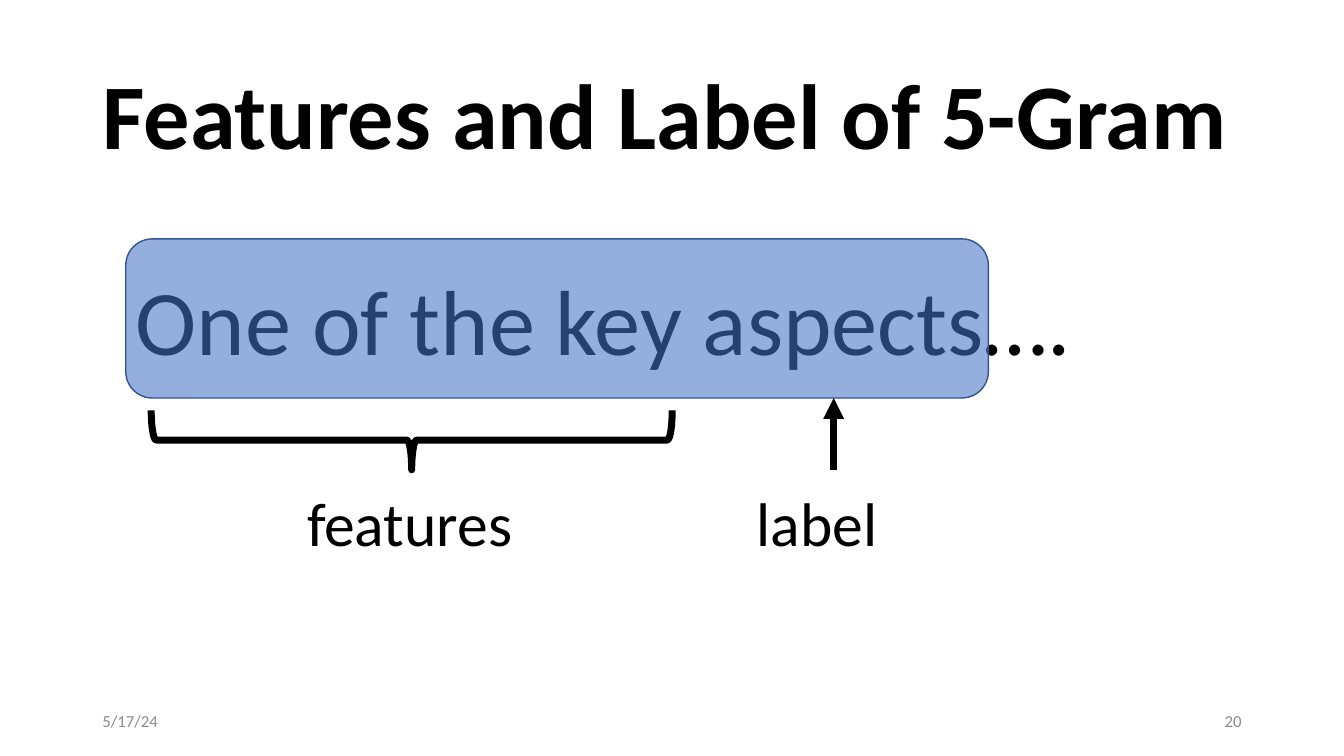
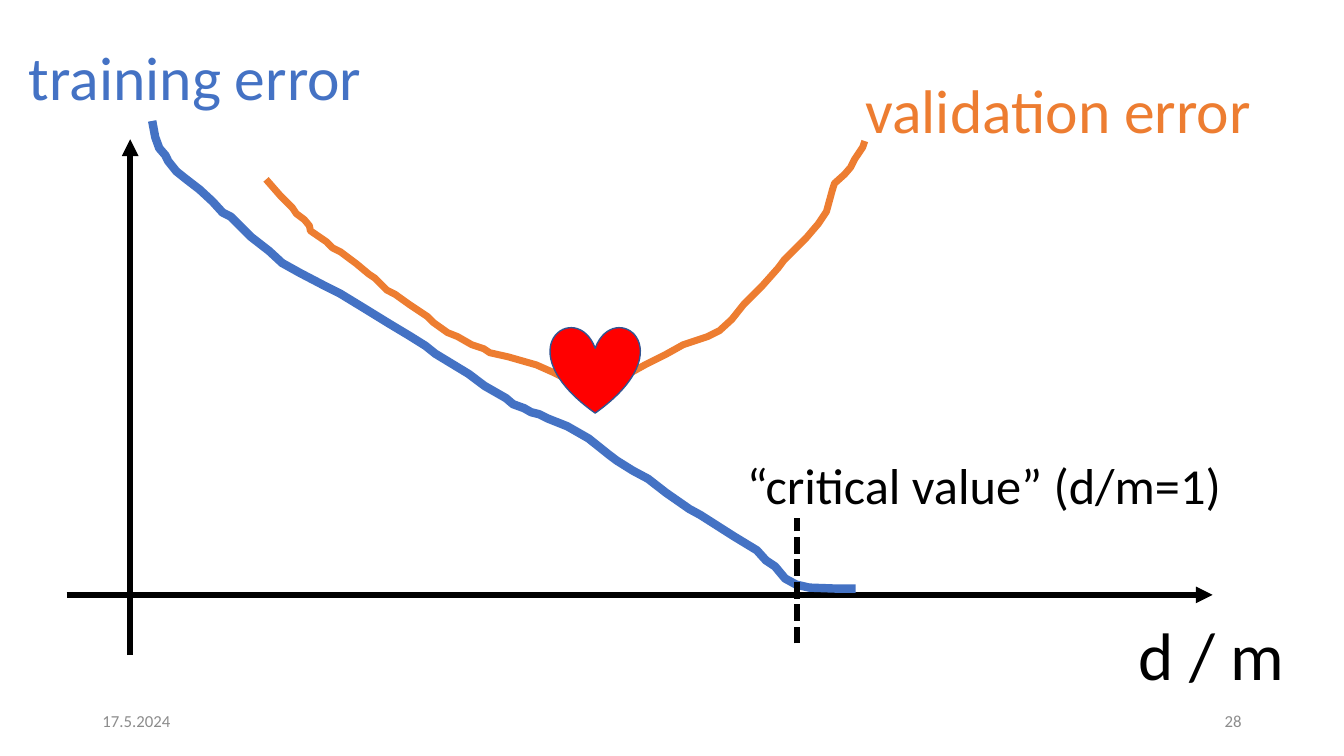
from lxml import etree
from pptx import Presentation
from pptx.dml.color import RGBColor
from pptx.enum.dml import MSO_LINE
from pptx.enum.shapes import MSO_CONNECTOR, MSO_SHAPE
from pptx.enum.text import MSO_ANCHOR, MSO_AUTO_SIZE, PP_ALIGN
from pptx.oxml.ns import qn
from pptx.util import Cm, Pt

LEFT, RIGHT = PP_ALIGN.LEFT, PP_ALIGN.RIGHT
TOP, MIDDLE = MSO_ANCHOR.TOP, MSO_ANCHOR.MIDDLE
NO_FIT = MSO_AUTO_SIZE.NONE
LINE = MSO_CONNECTOR.STRAIGHT
DASH = MSO_LINE.SQUARE_DOT
ROUND, BRACE, HEART = (
    MSO_SHAPE.ROUNDED_RECTANGLE, MSO_SHAPE.RIGHT_BRACE, MSO_SHAPE.HEART)
COLORS = {
    "ink": "000000", "gray": "8C8C8C", "blue": "4472C4",
    "navy": "325491", "orange": "ED7D31", "red": "FF0000",
}
FACE = "Calibri"
UNIT = Cm(2.54) // 100

TRAIN = [
    (151, 120), (154, 136), (158, 147), (164, 154), (167, 160), (175, 170),
    (185, 178), (198, 188), (211, 200), (221, 211), (229, 215), (249, 235),
    (267, 249), (280, 261), (298, 271), (321, 283), (337, 291), (360, 305),
    (386, 321), (406, 333), (422, 343), (432, 351), (465, 371), (481, 383),
    (502, 395), (509, 401), (520, 405), (527, 409), (535, 411), (543, 415),
    (563, 423), (584, 435), (604, 451), (612, 457), (628, 467), (643, 475),
    (661, 489), (684, 505), (695, 511), (728, 532), (751, 546), (760, 556),
    (769, 562), (779, 574), (790, 580), (803, 583), (831, 584), (849, 584),
]
VALID = [
    (264, 178), (278, 194), (290, 206), (294, 212), (302, 218), (307, 224),
    (308, 229), (324, 240), (330, 246), (338, 250), (354, 262), (366, 272),
    (372, 276), (384, 288), (392, 292), (406, 302), (424, 314), (430, 320),
    (444, 330), (454, 334), (468, 342), (480, 346), (486, 350), (504, 354),
    (532, 362), (550, 370), (566, 378), (584, 386), (622, 372), (640, 362),
    (660, 352), (678, 342), (702, 334), (714, 328), (726, 317), (738, 302),
    (756, 284), (772, 266), (778, 258), (800, 236), (812, 222), (820, 210),
    (826, 188), (828, 182), (838, 173), (844, 166), (848, 158), (856, 146),
    (858, 140),
]


def rgb(name):
    """Return the palette colour of that name."""
    return RGBColor.from_string(COLORS[name])


def put(obj, vals):
    """Set each attribute of an object from a dict."""
    for key, val in vals.items():
        setattr(obj, key, val)


def write(shape, text, size, color="ink", bold=False, wrap=False,
          align=LEFT, anchor=TOP):
    """Fill a text shape and format its only paragraph."""
    frame = shape.text_frame
    frame.text = text
    put(frame, {"word_wrap": wrap, "auto_size": NO_FIT,
                "vertical_anchor": anchor})
    para = frame.paragraphs[0]
    para.alignment = align
    font = para.runs[0].font
    put(font, {"name": FACE, "size": Pt(size), "bold": bold})
    font.color.rgb = rgb(color)


def label(slide, box, text, size, **form):
    """Add a text box."""
    write(slide.shapes.add_textbox(*box), text, size, **form)


def trim(shape, line, width, fill=None):
    """Give a shape its line, its fill and no shadow."""
    shape.shadow.inherit = False
    shape.line.color.rgb = rgb(line)
    shape.line.width = Pt(width)
    if fill:
        shape.fill.solid()
        shape.fill.fore_color.rgb = rgb(fill)
    else:
        shape.fill.background()


def rule(slide, start, end, width, head=True, dash=None):
    """Draw a straight line, with an arrowhead at its end if asked."""
    line = slide.shapes.add_connector(LINE, *start, *end)
    line.line.color.rgb = rgb("ink")
    put(line.line, {"width": Pt(width), "dash_style": dash})
    if head:
        tip = etree.SubElement(line.line._get_or_add_ln(), qn("a:tailEnd"))
        tip.set("type", "triangle")
    etree.SubElement(line._element.spPr, qn("a:effectLst"))


def curve(slide, x, y, points, color, width):
    """Draw an open hand-drawn curve."""
    path = slide.shapes.build_freeform(*points[0], scale=UNIT)
    path.add_line_segments(points[1:], close=False)
    trim(path.convert_to_shape(x, y), color, width)


def footer(slide, date, page):
    """Place the date and the page number."""
    for left, text, align in ((2.33, date, LEFT), (23.92, page, RIGHT)):
        box = Cm(left), Cm(17.65), Cm(7.62), Cm(1.01)
        label(slide, box, text, 12, color="gray", wrap=True,
              align=align, anchor=MIDDLE)


def heading(slide, text):
    """Move and format the title."""
    title = slide.shapes.title
    put(title, {"left": Cm(2.33), "top": Cm(1.3),
                "width": Cm(29.15), "height": Cm(3.07)})
    write(title, text, 66, bold=True)


def phrase(slide, x, y):
    """Show the marked phrase with its features and label."""
    label(slide, (x, y + Cm(0.48), Cm(25.27), Cm(3.07)),
          "One of the key aspects….", 66, wrap=True)
    mark = slide.shapes.add_shape(ROUND, x, y, Cm(21.74), Cm(4.01))
    trim(mark, "navy", 1, "blue")
    tint = mark._element.spPr.find(qn("a:solidFill"))[0]
    etree.SubElement(tint, qn("a:alpha")).set("val", "57000")

    span, deep = Cm(13.13), Cm(1.5)
    shift = (span - deep) // 2
    brace = slide.shapes.add_shape(
        BRACE, x + Cm(0.64) + shift, y + Cm(4.32) - shift, deep, span)
    brace.rotation = 90
    trim(brace, "ink", 5)

    for left, width, text in ((4.32, 5.74, "features"),
                              (15.65, 3.58, "label")):
        label(slide, (x + Cm(left), y + Cm(6.07), Cm(width), Cm(2.13)),
              text, 44)
    mid = x + Cm(17.84)
    rule(slide, (mid, y + Cm(5.82)), (mid, y + Cm(4.01)), 5)


def plot(slide, x, y):
    """Draw the axes, both error curves and their labels."""
    base, side, limit = y + Cm(14.99), x + Cm(3.28), x + Cm(20.09)
    rule(slide, (x + Cm(1.68), base), (x + Cm(30.56), base), 4)
    rule(slide, (side, y + Cm(16.51)), (side, y + Cm(3.51)), 4)
    curve(slide, x, y, TRAIN, "blue", 6)
    curve(slide, x, y, VALID, "orange", 5)
    heart = slide.shapes.add_shape(
        HEART, x + Cm(13.87), y + Cm(8.23), Cm(2.26), Cm(2.18))
    trim(heart, "navy", 1, "red")
    rule(slide, (limit, y + Cm(16.21)), (limit, y + Cm(13.06)), 4,
         head=False, dash=DASH)
    for left, top, width, high, text, size, color in (
            (0.48, 0.86, 8.99, 2.13, "training error", 44, "blue"),
            (21.56, 1.68, 10.36, 2.13, "validation error", 44, "orange"),
            (18.57, 11.33, 12.88, 1.8, "“critical value” (d/m=1)", 36, "ink"),
            (28.45, 15.34, 4.22, 2.31, "d / m", 48, "ink")):
        label(slide, (x + Cm(left), y + Cm(top), Cm(width), Cm(high)),
              text, size, color=color)


def main():
    """Build and save both slides."""
    deck = Presentation()
    put(deck, {"slide_width": Cm(33.87), "slide_height": Cm(19.05)})
    first = deck.slides.add_slide(deck.slide_layouts[5])
    heading(first, "Features and Label of 5-Gram")
    phrase(first, Cm(3.17), Cm(6.02))
    footer(first, "5/17/24", "20")

    second = deck.slides.add_slide(deck.slide_layouts[6])
    plot(second, Cm(0), Cm(0))
    footer(second, "17.5.2024", "28")
    deck.save("out.pptx")


if __name__ == "__main__":
    main()
